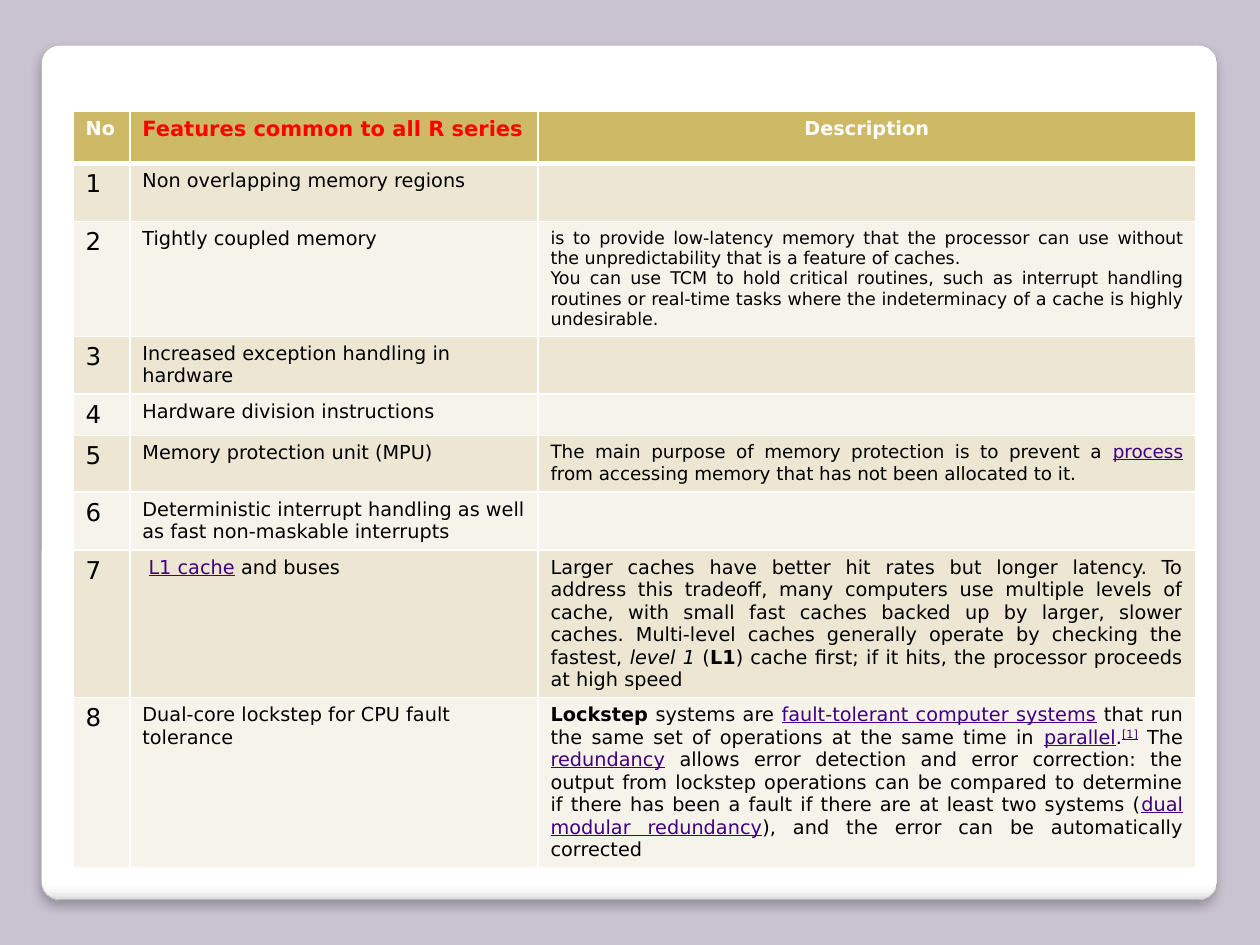
from dataclasses import dataclass

import lxml.etree
import pptx
import pptx.dml.color
import pptx.enum.shapes
import pptx.enum.text
import pptx.oxml
import pptx.oxml.ns
import pptx.util

Inches = pptx.util.Inches
Pt = pptx.util.Pt
ALIGN = pptx.enum.text.PP_ALIGN
FONT = "DejaVu Sans"
COLORS = {
    "background": "C9C2D1", "white": "FFFFFF", "card_line": "A4A4A4",
    "header": "CEB966", "odd": "EDE6D3", "even": "F6F3EA",
    "text": "000000", "link": "410082", "feature": "FF0000",
}
CARD_STOPS = [(0, "FFFFFF"), (98, "FFFFFF"), (99, "F7F7F7"), (100, "DADADA")]
COLUMNS = [0.45, 3.24, 5.22]
HEADER_HEIGHT = 0.42


@dataclass
class Run:
    text: str
    color: str = "text"
    bold: bool = False
    italic: bool = False
    underline: bool = False
    superscript: bool = False


@dataclass
class Feature:
    height: float
    name: list[Run]
    description: list[list[Run]]
    size: float = 11


def link(text: str, superscript: bool = False) -> Run:
    return Run(text, "link", underline=True, superscript=superscript)


FEATURES = [
    Feature(0.46, [Run("Non overlapping memory regions")], []),
    Feature(0.91, [Run("Tightly coupled memory")], [
        [Run("is to provide low-latency memory that the processor can use without the "
             "unpredictability that is a feature of caches.")],
        [Run("You can use TCM to hold critical routines, such as interrupt handling routines "
             "or real-time tasks where the indeterminacy of a cache is highly undesirable.")],
    ], 10),
    Feature(0.45, [Run("Increased exception handling in hardware")], []),
    Feature(0.33, [Run("Hardware division instructions")], []),
    Feature(0.45, [Run("Memory protection unit (MPU)")], [[
        Run("The main purpose of memory protection is to prevent a "),
        link("process"),
        Run(" from accessing memory that has not been allocated to it."),
    ]], 10.5),
    Feature(0.46, [Run("Deterministic interrupt handling as well as fast "
                       "non-maskable interrupts")], []),
    Feature(1.17, [Run(" "), link("L1 cache"), Run(" and buses")], [[
        Run("Larger caches have better hit rates but longer latency. To address this tradeoff, "
            "many computers use multiple levels of cache, with small fast caches backed up by "
            "larger, slower caches. Multi-level caches generally operate by checking the "
            "fastest, "),
        Run("level 1", italic=True),
        Run(" ("),
        Run("L1", bold=True),
        Run(") cache first; if it hits, the processor proceeds at high speed"),
    ]]),
    Feature(1.35, [Run("Dual-core lockstep for CPU fault tolerance")], [[
        Run("Lockstep", bold=True),
        Run(" systems are "),
        link("fault-tolerant computer systems"),
        Run(" that run the same set of operations at the same time in "),
        link("parallel"),
        Run("."),
        link("[1]", superscript=True),
        Run(" The "),
        link("redundancy"),
        Run(" allows error detection and error correction: the output from lockstep operations "
            "can be compared to determine if there has been a fault if there are at least two "
            "systems ("),
        link("dual modular redundancy"),
        Run("), and the error can be automatically corrected"),
    ]]),
]


def rgb(name: str) -> pptx.dml.color.RGBColor:
    return pptx.dml.color.RGBColor.from_string(COLORS[name])


def xml(markup: str) -> lxml.etree._Element:
    head, tail = markup.split(" ", 1)
    return pptx.oxml.parse_xml(f"{head} {pptx.oxml.ns.nsdecls('a')} {tail}")


def add_card(slide) -> None:
    sp = slide.shapes.add_shape(
        pptx.enum.shapes.MSO_SHAPE.ROUNDED_RECTANGLE,
        Inches(0.33), Inches(0.36), Inches(9.33), Inches(6.78))
    sp.adjustments[0] = 0.021
    sp.line.color.rgb = rgb("card_line")
    sp.line.width = Pt(0.16)
    stops = "".join(f'<a:gs pos="{pos * 1000}"><a:srgbClr val="{color}"/></a:gs>'
                    for pos, color in CARD_STOPS)
    props = sp._element.spPr
    props.find(pptx.oxml.ns.qn("a:prstGeom")).addnext(xml(
        f'<a:gradFill rotWithShape="1"><a:gsLst>{stops}</a:gsLst>'
        '<a:lin ang="5400000" scaled="0"/></a:gradFill>'))
    props.append(xml(
        f'<a:effectLst ><a:outerShdw blurRad="{Pt(6)}" dist="{Pt(4)}" dir="5400000" '
        'algn="t" rotWithShape="0"><a:srgbClr val="000000"><a:alpha val="25000"/>'
        '</a:srgbClr></a:outerShdw></a:effectLst>'))


def style_cell(cell, fill: str, top: float = 1, bottom: float = 1) -> None:
    props = cell._tc.get_or_add_tcPr()
    for side, width in (("L", 1), ("R", 1), ("T", top), ("B", bottom)):
        props.append(xml(
            f'<a:ln{side} w="{Pt(width)}"><a:solidFill><a:srgbClr val="{COLORS["white"]}"/>'
            f'</a:solidFill></a:ln{side}>'))
    cell.fill.solid()
    cell.fill.fore_color.rgb = rgb(fill)


def write_cell(cell, paragraphs: list[list[Run]], size: float, align=ALIGN.LEFT) -> None:
    tf = cell.text_frame
    if not paragraphs:
        tf.paragraphs[0]._p.append(xml(f'<a:endParaRPr sz="{int(size * 100)}"/>'))
    for i, runs in enumerate(paragraphs):
        p = tf.add_paragraph() if i else tf.paragraphs[0]
        p.alignment = align
        for run in runs:
            r = p.add_run()
            r.text = run.text
            r.font.name = FONT
            r.font.size = Pt(size)
            r.font.bold = run.bold
            r.font.italic = run.italic
            r.font.underline = run.underline
            r.font.color.rgb = rgb(run.color)
            if run.superscript:
                r._r.get_or_add_rPr().set("baseline", "30000")


def add_feature_table(slide) -> None:
    heights = [HEADER_HEIGHT] + [feature.height for feature in FEATURES]
    table = slide.shapes.add_table(
        len(heights), len(COLUMNS), Inches(0.58), Inches(0.88),
        Inches(sum(COLUMNS)), Inches(sum(heights))).table
    for column, width in zip(table.columns, COLUMNS):
        column.width = Inches(width)
    for row, height in zip(table.rows, heights):
        row.height = Inches(height)

    headings = [("No", "white", 11, ALIGN.LEFT),
                ("Features common to all R series", "feature", 12, ALIGN.LEFT),
                ("Description", "white", 11, ALIGN.CENTER)]
    for cell, (text, color, size, align) in zip(table.rows[0].cells, headings):
        style_cell(cell, "header", bottom=3)
        write_cell(cell, [[Run(text, color, bold=True)]], size, align)

    for number, feature in enumerate(FEATURES, 1):
        cells = list(table.rows[number].cells)
        for cell in cells:
            style_cell(cell, "odd" if number % 2 else "even", top=3 if number == 1 else 1)
        write_cell(cells[0], [[Run(str(number))]], 14)
        write_cell(cells[1], [feature.name], 11)
        write_cell(cells[2], feature.description, feature.size, ALIGN.JUSTIFY)


def main() -> None:
    prs = pptx.Presentation()
    prs.slide_width, prs.slide_height = Inches(10), Inches(7.5)
    s = prs.slides.add_slide(prs.slide_layouts[6])
    s.background.fill.solid()
    s.background.fill.fore_color.rgb = rgb("background")
    add_card(s)
    add_feature_table(s)
    prs.save("out.pptx")


if __name__ == "__main__":
    main()
